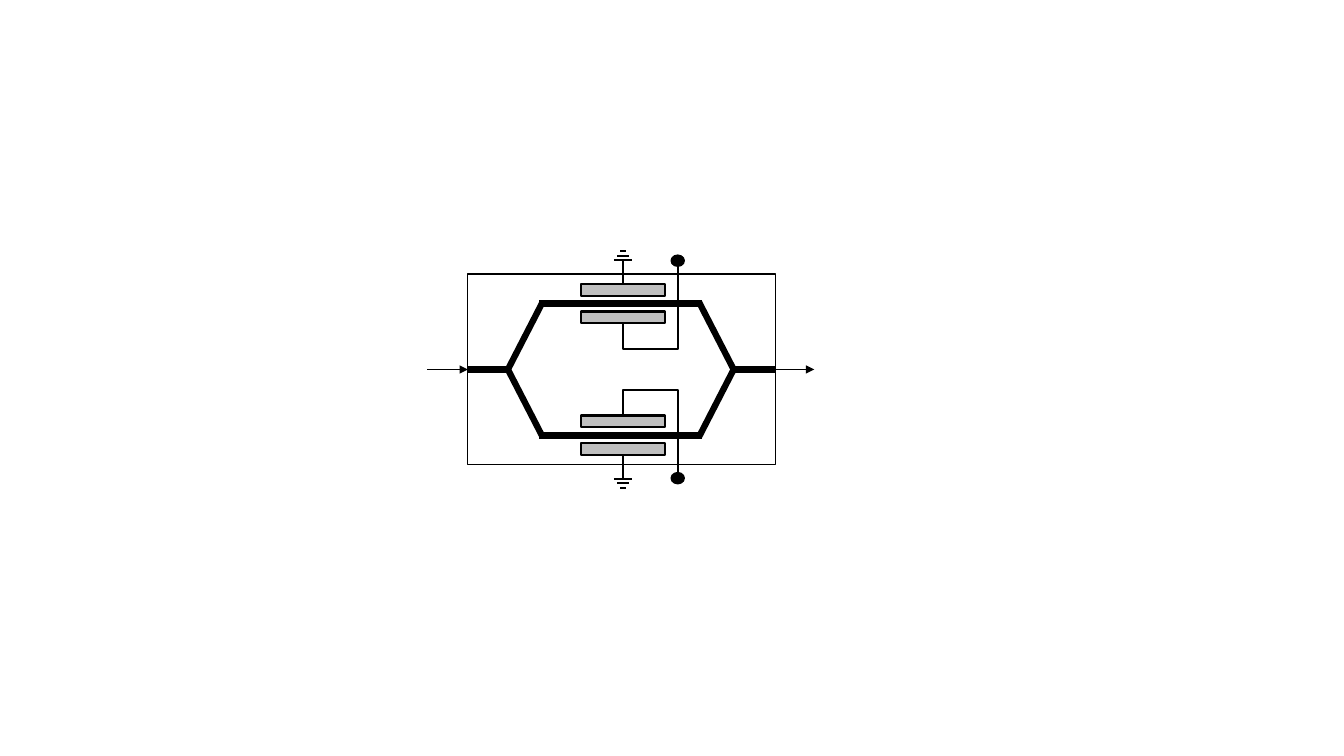
from dataclasses import dataclass

from lxml import etree
from pptx import Presentation
from pptx import util as u
from pptx.dml import color
from pptx.enum import shapes
from pptx.oxml import ns
from pptx.slide import Slide

COLORS = {"ink": "000000", "electrode": "BFBFBF"}
AXIS = 9.31
CHIP_LEFT, CHIP_RIGHT = 11.79, 19.54
CHIP_HEIGHT = 4.8
ELECTRODE_X, LEAD_X = 15.7, 17.08
RAIL_OFFSET = 1.66
GROUND_OFFSET, GROUND_STEP = 2.76, 0.11
GROUND_WIDTHS = (0.46, 0.28, 0.13)


@dataclass(frozen=True)
class Line:
    x1: float
    y1: float
    x2: float
    y2: float
    weight: float
    arrow: bool = False


@dataclass(frozen=True)
class Block:
    kind: shapes.MSO_SHAPE
    x: float
    y: float
    width: float
    height: float
    weight: float
    fill: str | None = None


def rgb(name: str) -> color.RGBColor:
    return color.RGBColor.from_string(COLORS[name])


def draw_line(slide: Slide, line: Line) -> None:
    connector = slide.shapes.add_connector(
        shapes.MSO_CONNECTOR.STRAIGHT,
        u.Cm(line.x1), u.Cm(line.y1), u.Cm(line.x2), u.Cm(line.y2),
    )
    connector.line.color.rgb = rgb("ink")
    connector.line.width = u.Pt(line.weight)
    properties = connector._element.spPr
    if line.arrow:
        stroke = properties.find(ns.qn("a:ln"))
        etree.SubElement(stroke, ns.qn("a:tailEnd"), type="triangle")
    etree.SubElement(properties, ns.qn("a:effectLst"))


def draw_block(slide: Slide, block: Block) -> None:
    shape = slide.shapes.add_shape(
        block.kind,
        u.Cm(block.x - block.width / 2), u.Cm(block.y - block.height / 2),
        u.Cm(block.width), u.Cm(block.height),
    )
    shape.shadow.inherit = False
    if block.fill:
        shape.fill.solid()
        shape.fill.fore_color.rgb = rgb(block.fill)
    else:
        shape.fill.background()
    shape.line.color.rgb = rgb("ink")
    shape.line.width = u.Pt(block.weight)


def draw_lead(slide: Slide, points: list[tuple[float, float]]) -> None:
    start, *rest = [(u.Cm(x), u.Cm(y)) for x, y in points]
    builder = slide.shapes.build_freeform(*start)
    builder.add_line_segments(rest, close=False)
    lead = builder.convert_to_shape()
    lead.shadow.inherit = False
    lead.fill.background()
    lead.line.color.rgb = rgb("ink")
    lead.line.width = u.Pt(1.5)


def draw_arm(slide: Slide, side: int) -> None:
    def level(offset: float) -> float:
        return AXIS + side * offset

    for offset in (1.31, 2.0):
        draw_block(slide, Block(shapes.MSO_SHAPE.RECTANGLE, ELECTRODE_X,
                                level(offset), 2.12, 0.3, 1.5, "electrode"))

    rail, bend = level(RAIL_OFFSET), level(1.69)
    for line in (
        Line(13.59, rail, 17.68, rail, 4.5),
        Line(12.8, AXIS, 13.67, bend, 4.5),
        Line(18.49, AXIS, 17.62, bend, 4.5),
        Line(ELECTRODE_X, level(2.15), ELECTRODE_X, level(GROUND_OFFSET), 1.5),
    ):
        draw_line(slide, line)

    for index, width in enumerate(GROUND_WIDTHS):
        y = level(GROUND_OFFSET + index * GROUND_STEP)
        draw_line(slide, Line(ELECTRODE_X - width / 2, y,
                              ELECTRODE_X + width / 2, y, 1.5))

    knee = level(0.51)
    draw_lead(slide, [(ELECTRODE_X, level(1.16)), (ELECTRODE_X, knee),
                      (LEAD_X, knee), (LEAD_X, level(2.6))])
    draw_block(slide, Block(shapes.MSO_SHAPE.OVAL, LEAD_X, level(2.74),
                            0.33, 0.28, 1, "ink"))


def main() -> None:
    deck = Presentation()
    deck.slide_width, deck.slide_height = u.Cm(33.87), u.Cm(19.05)
    slide = deck.slides.add_slide(deck.slide_layouts[6])

    draw_block(slide, Block(shapes.MSO_SHAPE.RECTANGLE,
                            (CHIP_LEFT + CHIP_RIGHT) / 2, AXIS,
                            CHIP_RIGHT - CHIP_LEFT, CHIP_HEIGHT, 1))
    for side in (-1, 1):
        draw_arm(slide, side)
    for line in (
        Line(CHIP_LEFT, AXIS, 12.83, AXIS, 4.5),
        Line(18.39, AXIS, CHIP_RIGHT, AXIS, 4.5),
        Line(10.77, AXIS, CHIP_LEFT, AXIS, 0.5, arrow=True),
        Line(CHIP_RIGHT, AXIS, 20.52, AXIS, 0.5, arrow=True),
    ):
        draw_line(slide, line)

    deck.save("out.pptx")


if __name__ == "__main__":
    main()
